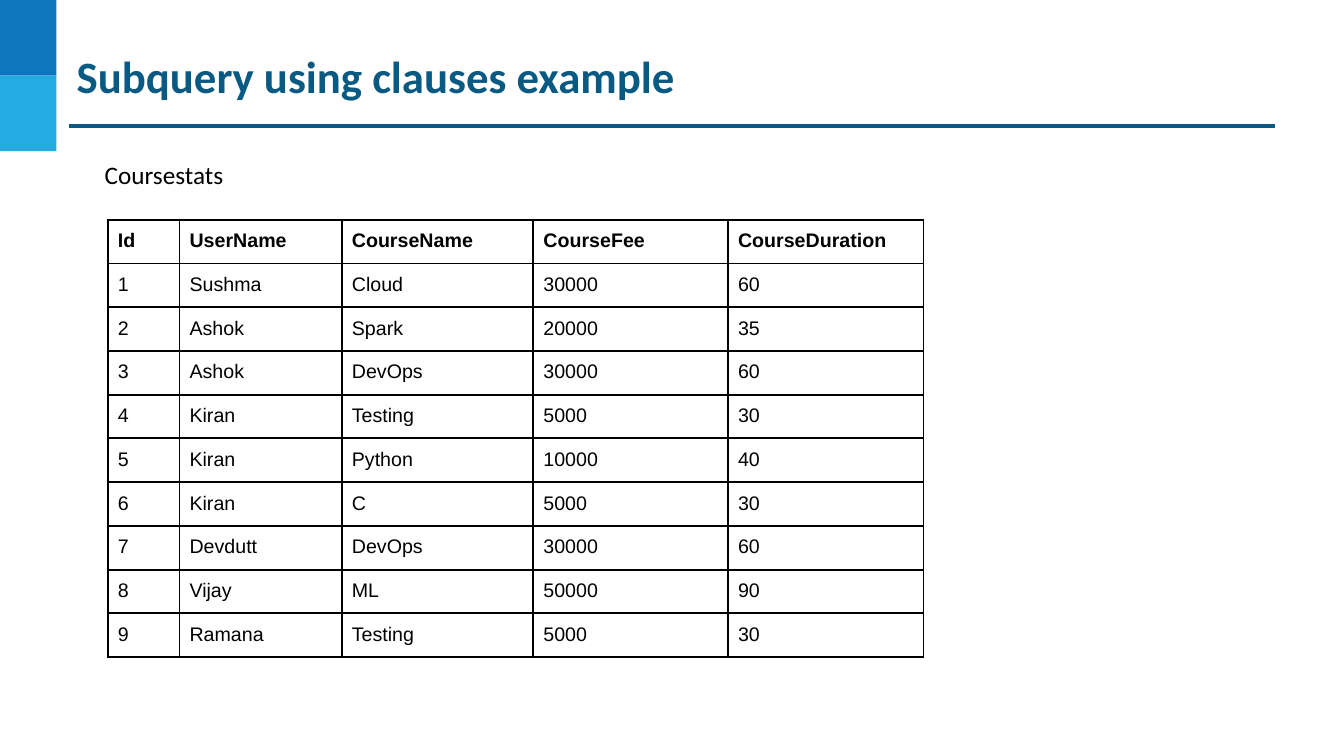
from lxml import etree
from pptx import Presentation
from pptx.dml.color import RGBColor
from pptx.enum import shapes, text
from pptx.oxml import ns
from pptx.util import Inches, Pt

HEADS = ["Id", "UserName", "CourseName", "CourseFee", "CourseDuration"]
STATS = [
    ("Sushma", "Cloud", 30000, 60),
    ("Ashok", "Spark", 20000, 35),
    ("Ashok", "DevOps", 30000, 60),
    ("Kiran", "Testing", 5000, 30),
    ("Kiran", "Python", 10000, 40),
    ("Kiran", "C", 5000, 30),
    ("Devdutt", "DevOps", 30000, 60),
    ("Vijay", "ML", 50000, 90),
    ("Ramana", "Testing", 5000, 30),
]
WIDTHS = [0.71, 1.61, 1.9, 1.93, 1.94]
ROW = 0.43
TEAL = "095A82"


def color(code):
    return RGBColor.from_string(code)


def write(frame, words, font, size, code, bold=False):
    frame.text = words
    para = frame.paragraphs[0]
    para.alignment = text.PP_ALIGN.LEFT
    face = para.runs[0].font
    face.name, face.size, face.bold = font, Pt(size), bold
    face.color.rgb = color(code)


def pad(frame, inset):
    frame.margin_left = frame.margin_right = Inches(inset)
    frame.margin_top = frame.margin_bottom = Inches(inset)


def add_blocks(slide, left, top, width, height):
    """Stack the two corner blocks in equal halves of the box."""
    half = height / 2
    for i, code in enumerate(["0F75BD", "25AAE2"]):
        block = slide.shapes.add_shape(
            shapes.MSO_SHAPE.RECTANGLE, Inches(left), Inches(top + i * half),
            Inches(width), Inches(half))
        block.shadow.inherit = False
        block.fill.solid()
        block.fill.fore_color.rgb = color(code)
        block.line.fill.background()


def add_title(slide, left, top, width, height):
    """Place the title in the box, with a rule below it."""
    title = slide.shapes.title
    title.left, title.top = Inches(left), Inches(top)
    title.width, title.height = Inches(width), Inches(height)
    frame = title.text_frame
    write(frame, "Subquery using clauses example", "Calibri", 32, TEAL, True)
    pad(frame, 0.02)
    frame.word_wrap = True
    frame.auto_size = text.MSO_AUTO_SIZE.NONE
    frame.vertical_anchor = text.MSO_ANCHOR.MIDDLE
    level = Inches(top + height + 0.21)
    rule = slide.shapes.add_connector(
        shapes.MSO_CONNECTOR.STRAIGHT, Inches(left - 0.06), level,
        Inches(left + width - 0.06), level)
    rule.line.color.rgb = color(TEAL)
    rule.line.width = Pt(2.25)
    etree.SubElement(rule._element.spPr, ns.qn("a:effectLst"))


def add_label(slide, left, top, width, height):
    label = slide.shapes.add_textbox(
        Inches(left), Inches(top), Inches(width), Inches(height))
    frame = label.text_frame
    frame.word_wrap = True
    pad(frame, 0.1)
    write(frame, "Coursestats", "Calibri", 18, "000000")


def add_border(cell):
    props = cell._tc.get_or_add_tcPr()
    for i, side in enumerate(["lnL", "lnR", "lnT", "lnB"]):
        line = etree.Element(ns.qn("a:" + side), w=str(Pt(1.5)))
        fill = etree.SubElement(line, ns.qn("a:solidFill"))
        etree.SubElement(fill, ns.qn("a:srgbClr"), val="000000")
        props.insert(i, line)


def add_stats(slide, left, top):
    rows = [HEADS] + [(i, *stat) for i, stat in enumerate(STATS, 1)]
    table = slide.shapes.add_table(
        len(rows), len(HEADS), Inches(left), Inches(top),
        Inches(sum(WIDTHS)), Inches(ROW * len(rows))).table
    table.horz_banding = False
    for col, width in zip(table.columns, WIDTHS):
        col.width = Inches(width)
    for r, row in enumerate(rows):
        table.rows[r].height = Inches(ROW)
        for c, value in enumerate(row):
            cell = table.cell(r, c)
            write(cell.text_frame, str(value), "Arial", 14, "000000", r == 0)
            pad(cell, 0.1)
            cell.fill.background()
            add_border(cell)


def main():
    deck = Presentation()
    deck.slide_width, deck.slide_height = Inches(13.33), Inches(7.5)
    slide = deck.slides.add_slide(deck.slide_layouts[5])
    add_blocks(slide, 0, 0, 0.56, 1.5)
    add_title(slide, 0.74, 0.46, 11.97, 0.58)
    add_label(slide, 0.94, 1.48, 11.68, 0.5)
    add_stats(slide, 1.07, 2.18)
    deck.save("out.pptx")


if __name__ == "__main__":
    main()
